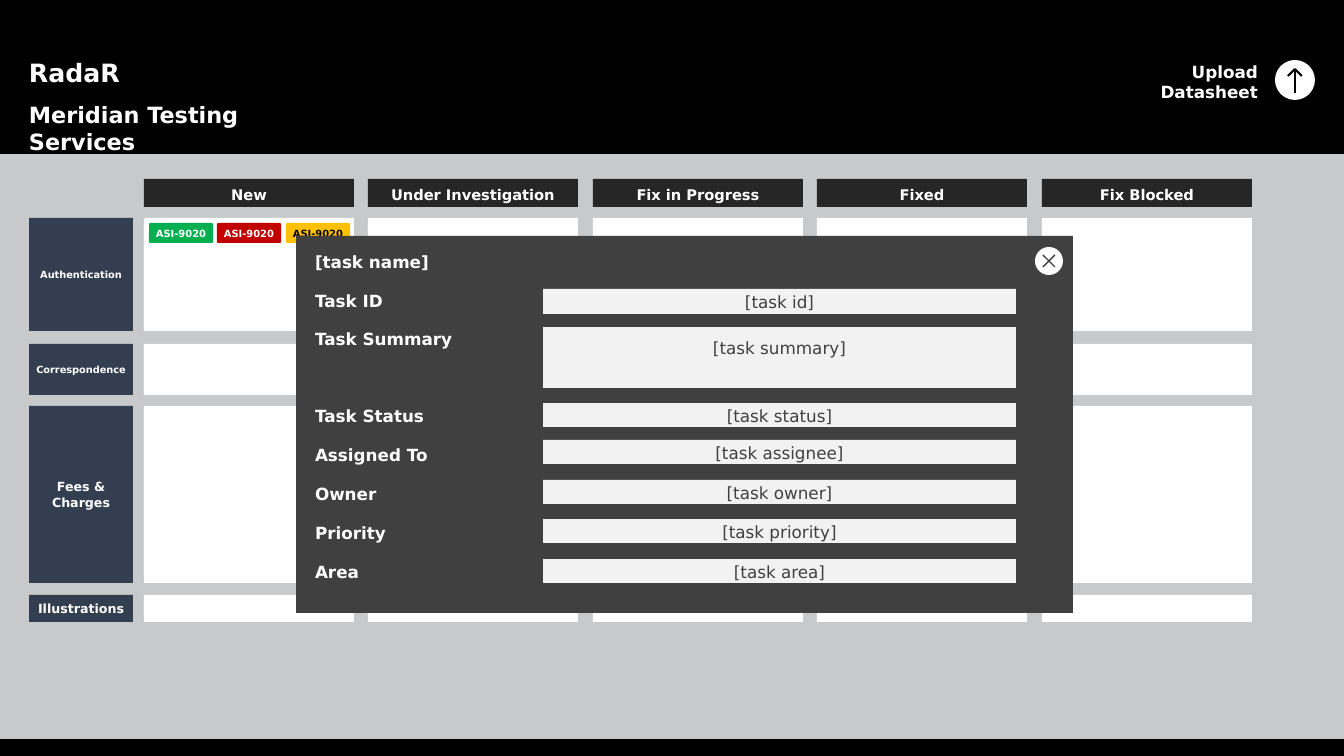
from dataclasses import dataclass

from lxml.etree import SubElement
from pptx import Presentation
from pptx.dml.color import RGBColor
from pptx.enum.shapes import MSO_CONNECTOR, MSO_SHAPE
from pptx.enum.text import MSO_ANCHOR, MSO_AUTO_SIZE, PP_ALIGN
from pptx.oxml.ns import qn
from pptx.shapes.autoshape import Shape
from pptx.shapes.shapetree import GroupShapes, SlideShapes
from pptx.util import Emu, Inches, Pt

Canvas = SlideShapes | GroupShapes

PX_PER_INCH = 100.8
FONT = "DejaVu Sans"
BLACK, WHITE = "000000", "FFFFFF"
BOARD, HEADER, AREA = "C8C9CA", "262626", "333F50"
POPUP, INPUT = "404040", "F2F2F2"


@dataclass(frozen=True)
class Box:
    left: int
    top: int
    width: int
    height: int


@dataclass(frozen=True)
class Area:
    name: str
    top: int
    height: int
    size: float
    all_columns: bool


@dataclass(frozen=True)
class Tag:
    fill: str
    color: str


@dataclass(frozen=True)
class Field:
    label: str
    label_top: int
    value: str
    top: int
    height: int = 24
    anchor: MSO_ANCHOR = MSO_ANCHOR.MIDDLE


STATUSES = ["New", "Under Investigation", "Fix in Progress", "Fixed", "Fix Blocked"]
AREAS = [
    Area("Authentication", 218, 113, 7, True),
    Area("Correspondence", 344, 51, 7, False),
    Area("Fees & Charges", 406, 177, 9, False),
    Area("Illustrations", 595, 27, 9, True),
]
TAGS = [Tag("00B050", WHITE), Tag("C00000", WHITE), Tag("FFC000", BLACK)]
FIELDS = [
    Field("Task ID", 291, "[task id]", 289, 25),
    Field("Task Summary", 329, "[task summary]", 327, 61, MSO_ANCHOR.TOP),
    Field("Task Status", 406, "[task status]", 403),
    Field("Assigned To", 445, "[task assignee]", 440),
    Field("Owner", 484, "[task owner]", 480),
    Field("Priority", 523, "[task priority]", 519),
    Field("Area", 562, "[task area]", 559),
]


def px(length: int) -> Emu:
    """Turn pixels into EMU."""
    return Emu(round(length * Inches(1) / PX_PER_INCH))


def rgb(color: str) -> RGBColor:
    """Turn a hex string into a colour."""
    return RGBColor.from_string(color)


def place(box: Box) -> tuple[Emu, Emu, Emu, Emu]:
    """Give the position and size of a box in EMU."""
    return px(box.left), px(box.top), px(box.width), px(box.height)


def write(shape: Shape, text: str, *, size: float, color: str = WHITE,
          bold: bool = True, align: PP_ALIGN = PP_ALIGN.CENTER,
          anchor: MSO_ANCHOR = MSO_ANCHOR.MIDDLE, spacing: float = 1.06,
          after: int = 0, wrap: bool = True,
          insets: tuple[int, int, int, int] = (0, 0, 0, 0),
          first: bool = True) -> None:
    """Write one formatted paragraph into a shape."""
    frame = shape.text_frame
    frame.word_wrap = wrap
    frame.vertical_anchor = anchor
    frame.margin_left, frame.margin_top, frame.margin_right, frame.margin_bottom = map(px, insets)
    paragraph = frame.paragraphs[0] if first else frame.add_paragraph()
    paragraph.alignment = align
    paragraph.line_spacing = spacing
    paragraph.space_after = Pt(after)
    run = paragraph.add_run()
    run.text = text
    run.font.name = FONT
    run.font.size = Pt(size)
    run.font.bold = bold
    run.font.color.rgb = rgb(color)


def panel(canvas: Canvas, box: Box, fill: str,
          kind: MSO_SHAPE = MSO_SHAPE.RECTANGLE) -> Shape:
    """Draw a flat filled shape."""
    shape = canvas.add_shape(kind, *place(box))
    shape.shadow.inherit = False
    shape.fill.solid()
    shape.fill.fore_color.rgb = rgb(fill)
    shape.line.fill.background()
    return shape


def caption(canvas: Canvas, box: Box, lines: dict[str, int],
            align: PP_ALIGN = PP_ALIGN.LEFT, wrap: bool = True) -> None:
    """Add a text box from lines and their sizes."""
    label = canvas.add_textbox(*place(box))
    for index, (text, size) in enumerate(lines.items()):
        write(label, text, size=size, align=align, anchor=MSO_ANCHOR.TOP,
              spacing=1.0, after=10, wrap=wrap, first=index == 0)
    label.text_frame.auto_size = MSO_AUTO_SIZE.SHAPE_TO_FIT_TEXT


def icon(canvas: Canvas, disc: Box, strokes: list[tuple[int, int, int, int]],
         color: str, weight: float) -> None:
    """Draw a white disc with strokes on it."""
    panel(canvas, disc, WHITE, MSO_SHAPE.OVAL)
    for stroke in strokes:
        line = canvas.add_connector(MSO_CONNECTOR.STRAIGHT, *map(px, stroke))
        line.line.color.rgb = rgb(color)
        line.line.width = Pt(weight)
        SubElement(line._element.spPr, qn("a:effectLst"))


def draw_board(canvas: Canvas) -> None:
    """Draw the task board."""
    panel(canvas, Box(0, 154, 1344, 585), BOARD)
    for area in AREAS:
        heading = panel(canvas, Box(29, area.top, 104, area.height), AREA)
        write(heading, area.name, size=area.size)
    last = len(STATUSES) - 1
    for column, status in enumerate(STATUSES):
        left = 144 + 449 * column // 2
        heading = panel(canvas, Box(left, 179, 210, 28), HEADER)
        write(heading, status, size=10.5, insets=(10, 12, 10, 10))
        for area in AREAS:
            if area.all_columns or column in (0, last):
                panel(canvas, Box(left, area.top, 210, area.height), WHITE)
    for index, tag in enumerate(TAGS):
        ticket = panel(canvas, Box(149 + 68 * index + index // 2, 223, 64, 20), tag.fill,
                       MSO_SHAPE.ROUNDED_RECTANGLE)
        ticket.adjustments[0] = 0.075
        write(ticket, "ASI-9020", size=7.1, color=tag.color, insets=(0, 8, 0, 8))


def draw_popup(canvas: Canvas) -> None:
    """Draw the task details window."""
    panel(canvas, Box(296, 236, 777, 377), POPUP)
    caption(canvas, Box(315, 252, 525, 20), {"[task name]": 12})
    icon(canvas, Box(1035, 247, 28, 28),
         [(1043, 255, 1055, 267), (1043, 267, 1055, 255)], POPUP, 1)
    for field in FIELDS:
        caption(canvas, Box(315, field.label_top, 525, 20), {field.label: 12})
        value = panel(canvas, Box(543, field.top, 473, field.height), INPUT)
        write(value, field.value, size=12, color=POPUP, bold=False,
              anchor=field.anchor, insets=(10, 10, 10, 10))


def main() -> None:
    """Build the slide and save it."""
    deck = Presentation()
    deck.slide_width, deck.slide_height = px(1344), px(756)
    slide = deck.slides.add_slide(deck.slide_layouts[6])
    slide.background.fill.solid()
    slide.background.fill.fore_color.rgb = rgb(BLACK)
    draw_board(slide.shapes)
    caption(slide.shapes, Box(29, 57, 317, 72),
            {"RadaR": 18, "Meridian Testing Services": 16}, wrap=False)
    icon(slide.shapes, Box(1275, 60, 40, 40),
         [(1295, 93, 1295, 69), (1288, 76, 1295, 69), (1302, 76, 1295, 69)], BLACK, 1.5)
    caption(slide.shapes, Box(1148, 62, 110, 40), {"Upload Datasheet": 12}, PP_ALIGN.RIGHT)
    draw_popup(slide.shapes.add_group_shape().shapes)
    deck.save("out.pptx")


if __name__ == "__main__":
    main()
